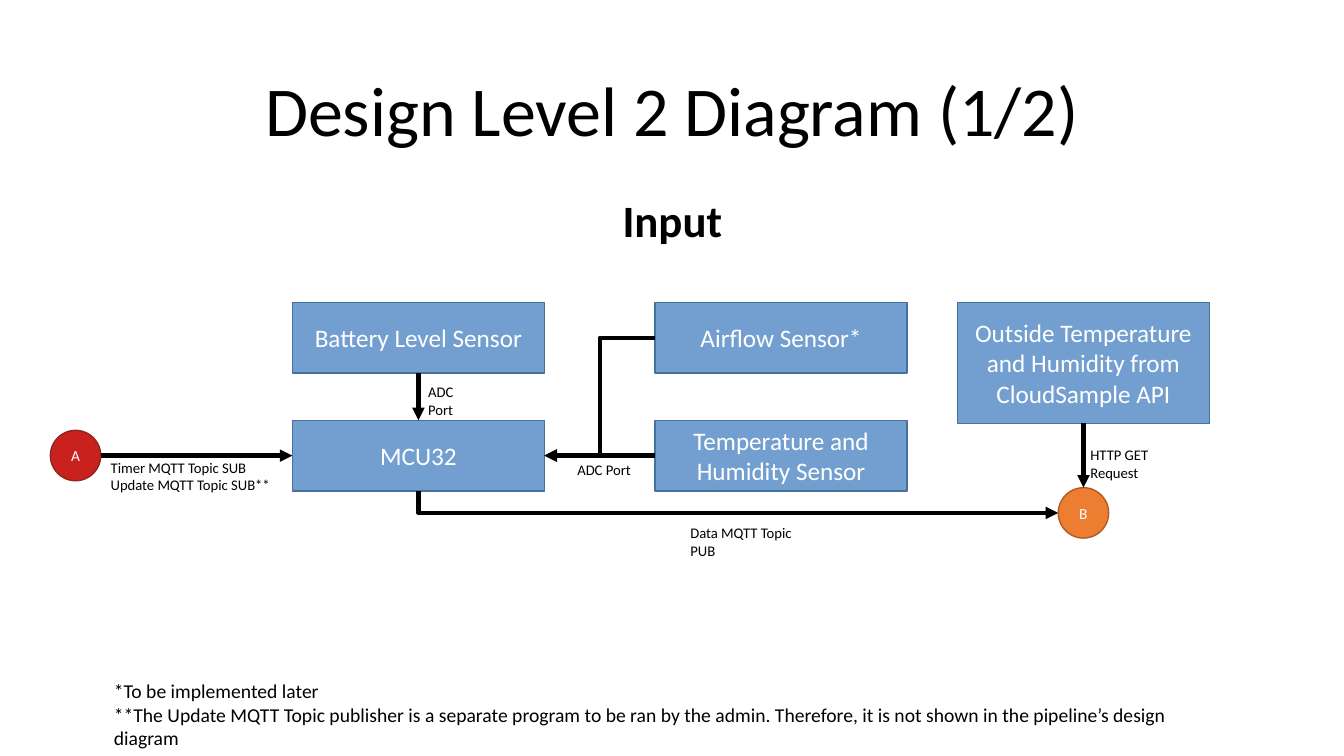
from pptx import Presentation
from pptx.dml.color import RGBColor
from pptx.enum.shapes import MSO_CONNECTOR, MSO_SHAPE
from pptx.enum.text import MSO_ANCHOR, PP_ALIGN
from pptx.oxml.ns import qn
from pptx.util import Cm, Pt
from lxml.etree import SubElement

BLACK = RGBColor(0, 0, 0)
WHITE = RGBColor(255, 255, 255)
BLUE = RGBColor(0x72, 0x9F, 0xCF)
NAVY = RGBColor(0x43, 0x72, 0x9D)
RED = RGBColor(0xC9, 0x21, 0x1E)
MAROON = RGBColor(0x8D, 0x28, 0x1E)
ORANGE = RGBColor(0xED, 0x7D, 0x31)
BROWN = RGBColor(0xAF, 0x5C, 0x24)

WIDE, HIGH, DOT = 6.35, 1.78, 1.27


def write(frame, text, size, color=BLACK, align=PP_ALIGN.LEFT, bold=False):
    frame.text = text
    for para in frame.paragraphs:
        para.alignment = align
        font = para.font
        font.name, font.size, font.bold = "Calibri", Pt(size), bold
        font.color.rgb = color


def label(slide, box, text, size=10.5, wrap=False, **style):
    frame = slide.shapes.add_textbox(*map(Cm, box)).text_frame
    frame.word_wrap = wrap
    write(frame, text, size, **style)
    return frame


def node(slide, kind, box, text, size, fill, edge):
    shape = slide.shapes.add_shape(kind, *map(Cm, box))
    shape.shadow.inherit = False
    shape.fill.solid()
    shape.fill.fore_color.rgb = fill
    shape.line.color.rgb = edge
    shape.line.width = Pt(1)
    frame = shape.text_frame
    frame.word_wrap = True
    frame.vertical_anchor = MSO_ANCHOR.MIDDLE
    write(frame, text, size, WHITE, PP_ALIGN.CENTER)
    return shape


def block(slide, left, top, text, high=HIGH):
    return node(slide, MSO_SHAPE.FLOWCHART_PROCESS, (left, top, WIDE, high),
                text, 18, BLUE, NAVY)


def dot(slide, left, top, text, fill, edge):
    return node(slide, MSO_SHAPE.OVAL, (left, top, DOT, DOT),
                text, 11, fill, edge)


def side(shape, across, down):
    """Point at the given fractions of a shape's width and height."""
    return (int(shape.left + across * shape.width),
            int(shape.top + down * shape.height))


def arrow(slide, start, end, kind=MSO_CONNECTOR.STRAIGHT, tip="tailEnd"):
    link = slide.shapes.add_connector(kind, *start, *end)
    link.line.color.rgb = BLACK
    link.line.width = Pt(3)
    SubElement(link.line._get_or_add_ln(), qn("a:" + tip), type="triangle")
    SubElement(link._element.spPr, qn("a:effectLst"))
    return link


def head(slide, left, top, wide):
    title = label(slide, (left, top, wide, 3.68),
                  "Design Level 2 Diagram (1/2)", 50, wrap=True,
                  align=PP_ALIGN.CENTER)
    title.vertical_anchor = MSO_ANCHOR.MIDDLE
    title.paragraphs[0].line_spacing = 0.9
    label(slide, (left + wide / 2 - 1.51, top + 3.7, 3.02, 1.6),
          "Input", 32, align=PP_ALIGN.CENTER, bold=True)


def flow(slide, left, top):
    first, mid, last = left + 6.1, left + 15.24, left + 22.86
    low = top + 2.97

    # Blocks and page links
    power = block(slide, first, top, "Battery Level Sensor")
    chip = block(slide, first, low, "MCU32")
    air = block(slide, mid, top, "Airflow Sensor*")
    temp = block(slide, mid, low, "Temperature and Humidity Sensor")
    web = block(slide, last, top,
                "Outside Temperature\nand Humidity from CloudSample API", 3.05)
    entry = dot(slide, left, low + (HIGH - DOT) / 2, "A", RED, MAROON)
    leave = dot(slide, last + (WIDE - DOT) / 2, top + 4.67, "B", ORANGE, BROWN)

    # Arrows
    arrow(slide, side(power, 0.5, 1), side(chip, 0.5, 0))
    arrow(slide, side(web, 0.5, 1), side(leave, 0.5, 0))
    arrow(slide, side(entry, 1, 0.5), side(chip, 0, 0.5))
    arrow(slide, side(temp, 0, 0.5), side(chip, 1, 0.5))
    arrow(slide, side(air, 0, 0.5), side(chip, 1, 0.5), MSO_CONNECTOR.ELBOW)
    data = arrow(slide, side(leave, 0, 0.5), side(chip, 0.5, 1),
                 MSO_CONNECTOR.ELBOW, "headEnd")
    data._element.spPr.find(qn("a:prstGeom")).set("prst", "bentConnector2")

    # Arrow labels
    label(slide, (left + 9.27, top + 1.9, 1.75, 1.14), "ADC Port", wrap=True)
    label(slide, (left + 13.03, top + 3.86, 1.85, 0.69), "ADC Port")
    label(slide, (left + 25.96, top + 3.5, 2.3, 1.14), "HTTP GET Request",
          wrap=True)
    label(slide, (left + 15.88, top + 5.46, 3.76, 0.69), "Data MQTT Topic PUB")
    label(slide, (left + 1.27, top + 3.81, 4.52, 1.14),
          "Timer MQTT Topic SUB\nUpdate MQTT Topic SUB**")


def notes(slide, left, top, wide):
    label(slide, (left, top, wide, 1.45),
          "*To be implemented later\n**The Update MQTT Topic publisher is a "
          "separate program to be ran by the admin. Therefore, it is not "
          "shown in the pipeline’s design diagram", 14)


def main():
    deck = Presentation()
    deck.slide_width, deck.slide_height = Cm(33.87), Cm(19.05)
    slide = deck.slides.add_slide(deck.slide_layouts[6])
    head(slide, 2.34, 1.02, 29.21)
    flow(slide, 1.27, 7.62)
    notes(slide, 2.62, 16.99, 28.78)
    deck.save("out.pptx")


if __name__ == "__main__":
    main()
